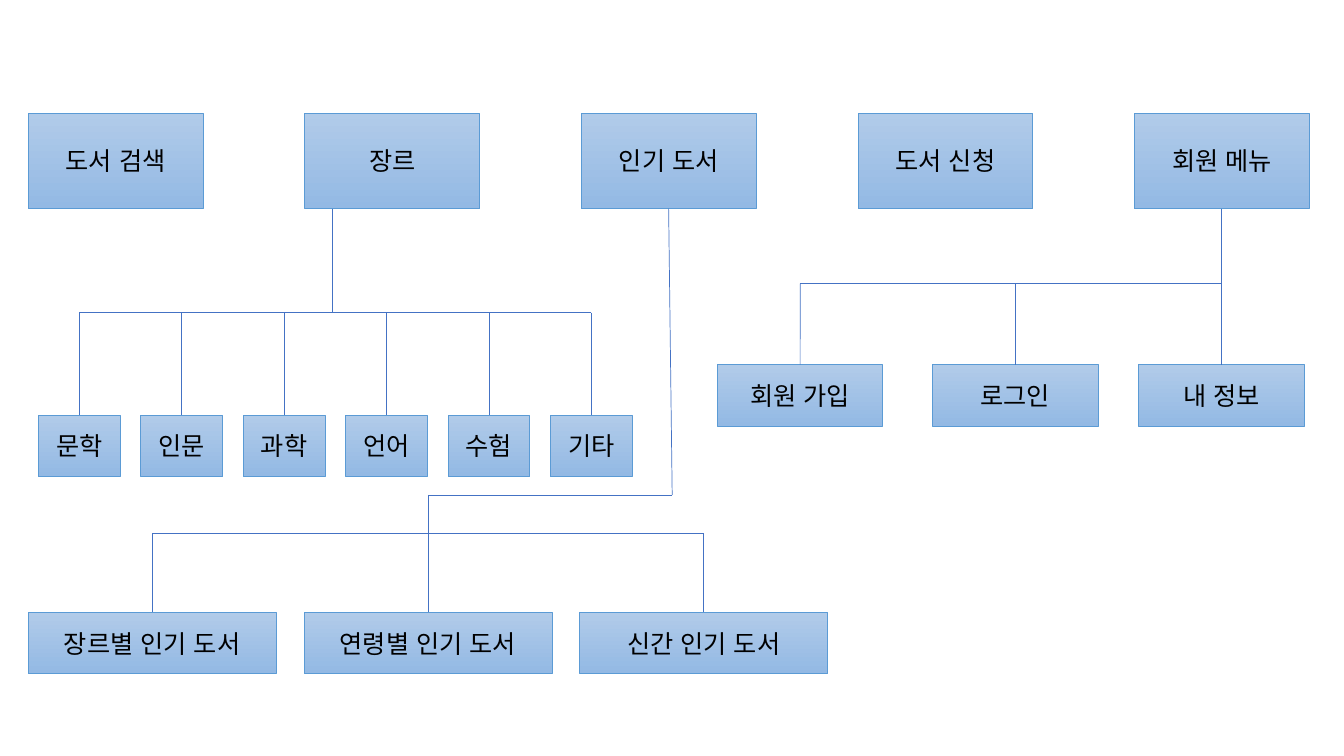
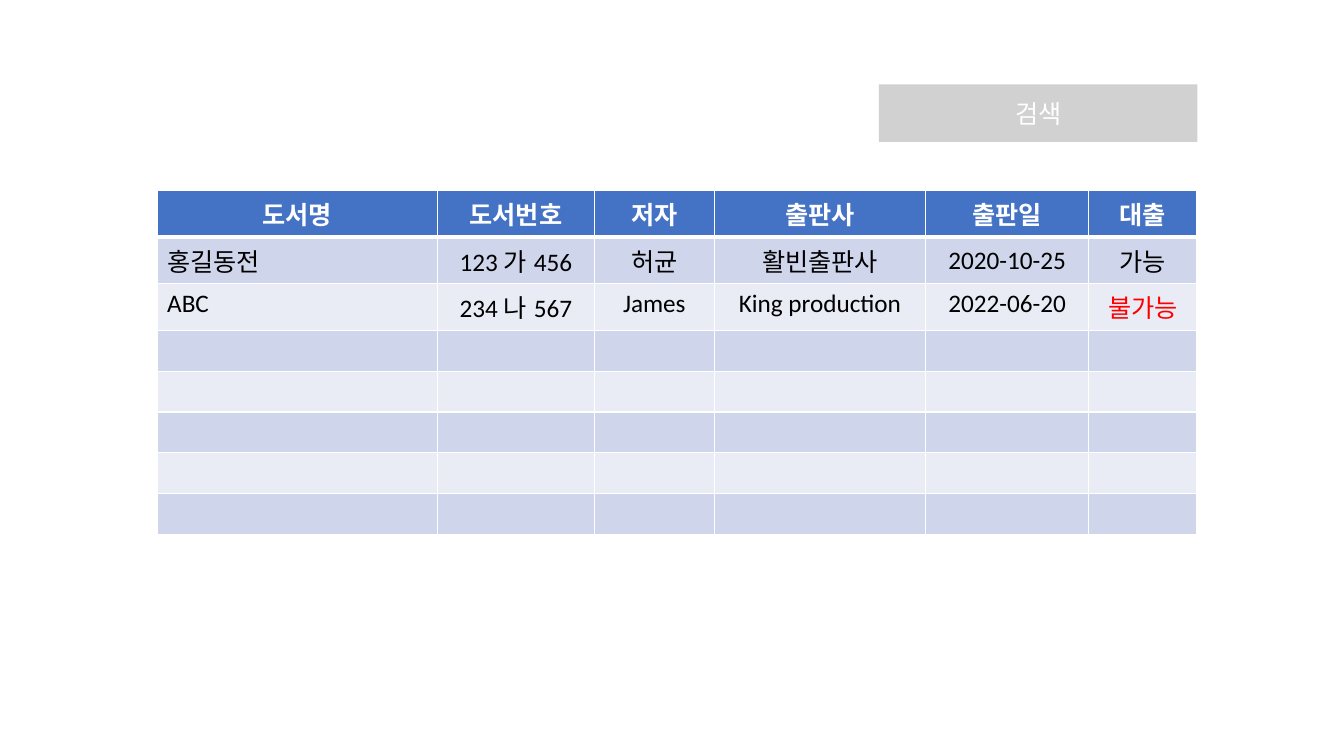
from pptx import Presentation
from pptx.dml.color import RGBColor
from pptx.enum.lang import MSO_LANGUAGE_ID
from pptx.enum.shapes import MSO_CONNECTOR, MSO_SHAPE
from pptx.enum.text import MSO_ANCHOR, PP_ALIGN
from pptx.oxml import parse_xml
from pptx.oxml.ns import nsdecls, qn
from pptx.util import Cm, Pt
from lxml.etree import SubElement


class Theme:
    # Colours
    black, white, red = "000000", "FFFFFF", "FF0000"
    light, deep, edge = "B1CBE9", "93B9E4", "5B9BD5"
    blue, gray = "4472C4", "A5A5A5"
    bands = ("CFD5EA", "E9EBF5")
    # Type and lines
    font = {"name": "Calibri", "size": Pt(18), "bold": False,
            "language_id": MSO_LANGUAGE_ID.KOREAN}
    thin = Pt(0.5)


def color(code):
    return RGBColor.from_string(code)


def apply(item, values):
    for name, value in values.items():
        setattr(item, name, value)


class Deck:
    def __init__(self):
        self.file = Presentation()
        apply(self.file, {"slide_width": Cm(33.87), "slide_height": Cm(19.05)})
        self.slide = None

    def page(self):
        self.slide = self.file.slides.add_slide(self.file.slide_layouts[6])

    def text(self, frame, words, tone, align=PP_ALIGN.CENTER, **extra):
        para = frame.paragraphs[0]
        para.alignment = align
        run = para.add_run()
        run.text = words
        apply(run.font, {**Theme.font, **extra})
        run.font.color.rgb = color(tone)

    def rect(self, words, left, top, width, height, tone):
        box = self.slide.shapes.add_shape(
            MSO_SHAPE.RECTANGLE, Cm(left), Cm(top), Cm(width), Cm(height))
        box.shadow.inherit = False
        box.text_frame.vertical_anchor = MSO_ANCHOR.MIDDLE
        self.text(box.text_frame, words, tone)
        return box

    def node(self, words, left, top, width, height):
        box = self.rect(words, left, top, width, height, Theme.black)
        box.fill.gradient()
        box.fill.gradient_angle = 270
        for stop, tone in zip(box.fill.gradient_stops, (Theme.light, Theme.deep)):
            stop.color.rgb = color(tone)
        box.line.color.rgb = color(Theme.edge)
        box.line.width = Theme.thin
        return box

    def button(self, words, left, top, width, height, alpha):
        box = self.rect(words, left, top, width, height, Theme.white)
        box.fill.solid()
        box.fill.fore_color.rgb = color(Theme.gray)
        tint = box.element.spPr.find(qn("a:solidFill"))[0]
        SubElement(tint, qn("a:alpha"), val=str(alpha * 1000))
        box.line.fill.background()

    def line(self, start, end):
        link = self.slide.shapes.add_connector(
            MSO_CONNECTOR.STRAIGHT, *(Cm(n) for n in (*start, *end)))
        link.line.color.rgb = color(Theme.blue)
        link.line.width = Theme.thin
        SubElement(link.element.spPr, qn("a:effectLst"))
        return link

    def route(self, *points):
        for start, end in zip(points, points[1:]):
            self.line(start, end)

    def row(self, names, lefts, top, width, height):
        return [self.node(name, left, top, width, height)
                for name, left in zip(names, lefts)]

    def branch(self, names, lefts, top, width, bus):
        # One level of child boxes hung from a shared bar
        mids = [left + width / 2 for left in lefts]
        self.line((mids[0], bus), (mids[-1], bus))
        for box, mid in zip(self.row(names, lefts, top, width, 1.55), mids):
            self.line((mid, bus), (mid, top)).end_connect(box, 0)

    def border(self, cell, head):
        props = cell._tc.get_or_add_tcPr()
        for spot, side in enumerate("LRTB"):
            width = Pt(3 if head and side == "B" else 1)
            props.insert(spot, parse_xml(
                f'<a:ln{side} {nsdecls("a")} w="{width}"><a:solidFill>'
                f'<a:srgbClr val="{Theme.white}"/></a:solidFill></a:ln{side}>'))

    def table(self, data, count, widths, left, top, height):
        grid = self.slide.shapes.add_table(
            count, len(widths), Cm(left), Cm(top),
            Cm(sum(widths)), Cm(height * count)).table
        for col, width in zip(grid.columns, widths):
            col.width = Cm(width)
        for r, line in enumerate(grid.rows):
            line.height = Cm(height)
            head = r == 0
            for c, cell in enumerate(line.cells):
                cell.fill.solid()
                cell.fill.fore_color.rgb = color(
                    Theme.blue if head else Theme.bands[(r - 1) % 2])
                self.border(cell, head)
                if r < 2:
                    cell.vertical_anchor = MSO_ANCHOR.MIDDLE
                if r < len(data):
                    words = data[r][c]
                    tone = (Theme.white if head else
                            Theme.red if words == "불가능" else Theme.black)
                    align = PP_ALIGN.CENTER if head or c else PP_ALIGN.LEFT
                    self.text(cell.text_frame, words, tone, align, bold=head)


def steps(start, gap, count):
    return [start + gap * n for n in range(count)]


def menu(deck):
    deck.page()
    # Main menu
    tops = ["도서 검색", "장르", "인기 도서", "도서 신청", "회원 메뉴"]
    deck.row(tops, steps(0.71, 6.97, 5), 2.85, 4.41, 2.41)
    base = 5.26

    # Genres
    deck.route((8.38, base), (8.38, 7.88))
    deck.branch(["문학", "인문", "과학", "언어", "수험", "기타"],
                steps(0.97, 2.58, 6), 10.46, 2.06, 7.88)

    # Popular books
    deck.route((16.85, base), (16.94, 12.47), (10.79, 12.47), (10.79, 13.44))
    deck.branch(["장르별 인기 도서", "연령별 인기 도서", "신간 인기 도서"],
                steps(0.71, 6.95, 3), 15.43, 6.25, 13.44)

    # Members
    deck.route((30.79, base), (30.79, 7.15))
    deck.branch(["회원 가입", "로그인", "내 정보"],
                [18.08, 23.5, 28.7], 9.19, 4.17, 7.15)


def search(deck):
    deck.page()
    deck.button("검색", 22.15, 2.13, 8.03, 1.45, alpha=50)
    # Book list
    books = [
        ["도서명", "도서번호", "저자", "출판사", "출판일", "대출"],
        ["홍길동전", "123 가 456", "허균", "활빈출판사", "2020-10-25", "가능"],
        ["ABC", "234 나 567", "James", "King production", "2022-06-20", "불가능"],
    ]
    deck.table(books, 8, [7.06, 3.96, 3.02, 5.33, 4.11, 2.72], 3.96, 4.8, 1.03)


def main():
    deck = Deck()
    menu(deck)
    search(deck)
    deck.file.save("out.pptx")


if __name__ == "__main__":
    main()
